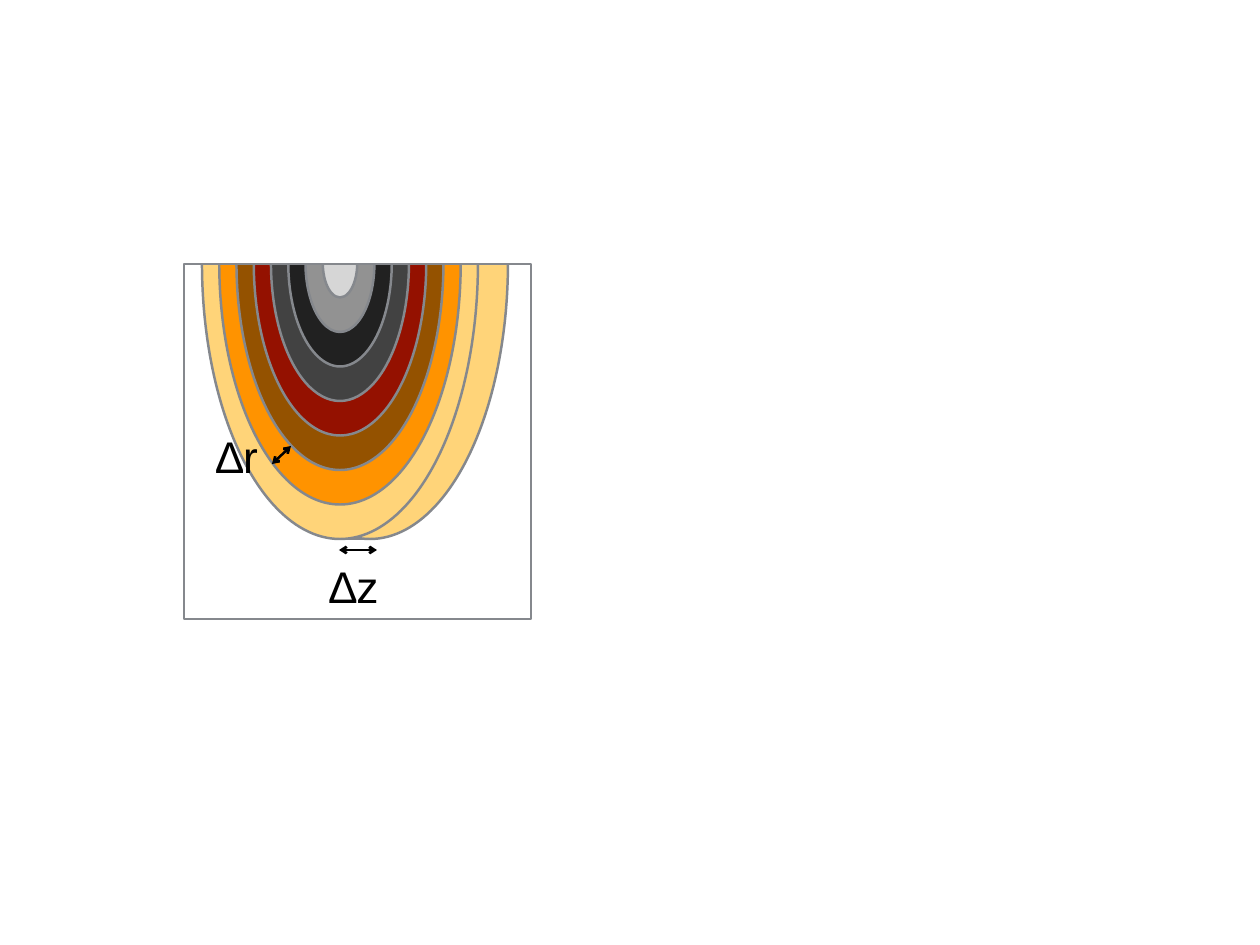
from lxml.etree import SubElement
from pptx import Presentation
from pptx.dml.color import RGBColor
from pptx.enum.shapes import MSO_CONNECTOR, MSO_SHAPE
from pptx.enum.text import MSO_ANCHOR, MSO_AUTO_SIZE, PP_ALIGN
from pptx.oxml.ns import qn
from pptx.util import Pt

SCALE = 914400 / 88.6
FONT = "Arial"
COLORS = {
    "sand": "FFD479", "orange": "FF9300", "brown": "945200",
    "red": "941100", "slate": "424242", "black": "212121",
    "gray": "929292", "silver": "D6D6D6",
    "edge": "85888D", "ink": "000000", "white": "FFFFFF",
}
RINGS = ["sand", "orange", "brown", "red", "slate", "black", "gray", "silver"]
MID_X, MID_Y = 340, 263
SHIFT = 30
RADIUS = 138


def px(*sizes):
    """Turn picture pixels into EMU."""
    return [round(size * SCALE) for size in sizes]


def rgb(name):
    """Look up a named colour."""
    return RGBColor.from_string(COLORS[name])


def add_form(group, kind, box, fill=None, edge=None):
    """Add a preset shape with an optional fill and outline."""
    shape = group.shapes.add_shape(kind, *px(*box))
    shape.shadow.inherit = False
    if fill:
        shape.fill.solid()
        shape.fill.fore_color.rgb = rgb(fill)
    else:
        shape.fill.background()
    if edge:
        shape.line.color.rgb = rgb(edge)
        shape.line.width = Pt(2)
    else:
        shape.line.fill.background()


def add_ring(group, mid, half, fill):
    """Add an ellipse twice as tall as wide, centred on the top edge."""
    box = (mid - half, MID_Y - 2 * half, 2 * half, 4 * half)
    add_form(group, MSO_SHAPE.OVAL, box, fill, "edge")


def add_line(group, ends, color, heads=False):
    """Add a straight line, with arrowheads at both ends if asked."""
    line = group.shapes.add_connector(MSO_CONNECTOR.STRAIGHT, *px(*ends))
    line.line.color.rgb = rgb(color)
    line.line.width = Pt(2)
    if heads:
        for tag in ("a:headEnd", "a:tailEnd"):
            SubElement(line.get_or_add_ln(), qn(tag), type="arrow")
    SubElement(line._element.spPr, qn("a:effectLst"))


def add_label(group, text, box):
    """Add a centred label that does not wrap."""
    frame = group.shapes.add_textbox(*px(*box)).text_frame
    frame.word_wrap = False
    frame.auto_size = MSO_AUTO_SIZE.SHAPE_TO_FIT_TEXT
    frame.vertical_anchor = MSO_ANCHOR.MIDDLE
    inset = px(5)[0]
    frame.margin_left = frame.margin_right = inset
    frame.margin_top = frame.margin_bottom = inset
    frame.text = text
    para = frame.paragraphs[0]
    para.alignment = PP_ALIGN.CENTER
    font = para.runs[0].font
    font.name, font.size = FONT, Pt(36)
    font.color.rgb = rgb("ink")


def main():
    """Build the slide with the nested half ellipses."""
    deck = Presentation()
    deck.slide_width, deck.slide_height = px(1260, 945)
    slide = deck.slides.add_slide(deck.slide_layouts[6])
    group = slide.shapes.add_group_shape()

    add_ring(group, MID_X + SHIFT, RADIUS, RINGS[0])
    for i, fill in enumerate(RINGS):
        half = RADIUS * (len(RINGS) - i) / len(RINGS)
        add_ring(group, MID_X, half, fill)

    add_line(group, (373, 539, 335, 539), "edge")
    add_line(group, (377, 550, 339, 550), "ink", heads=True)
    add_line(group, (272, 464, 291, 446), "ink", heads=True)
    add_label(group, "∆r", (210, 424, 54, 63))
    add_label(group, "∆z", (323, 554, 62, 63))

    add_form(group, MSO_SHAPE.RECTANGLE, (182, -92, 347, 355), fill="white")
    add_form(group, MSO_SHAPE.RECTANGLE, (184, 264, 347, 355), edge="edge")
    deck.save("out.pptx")


main()
